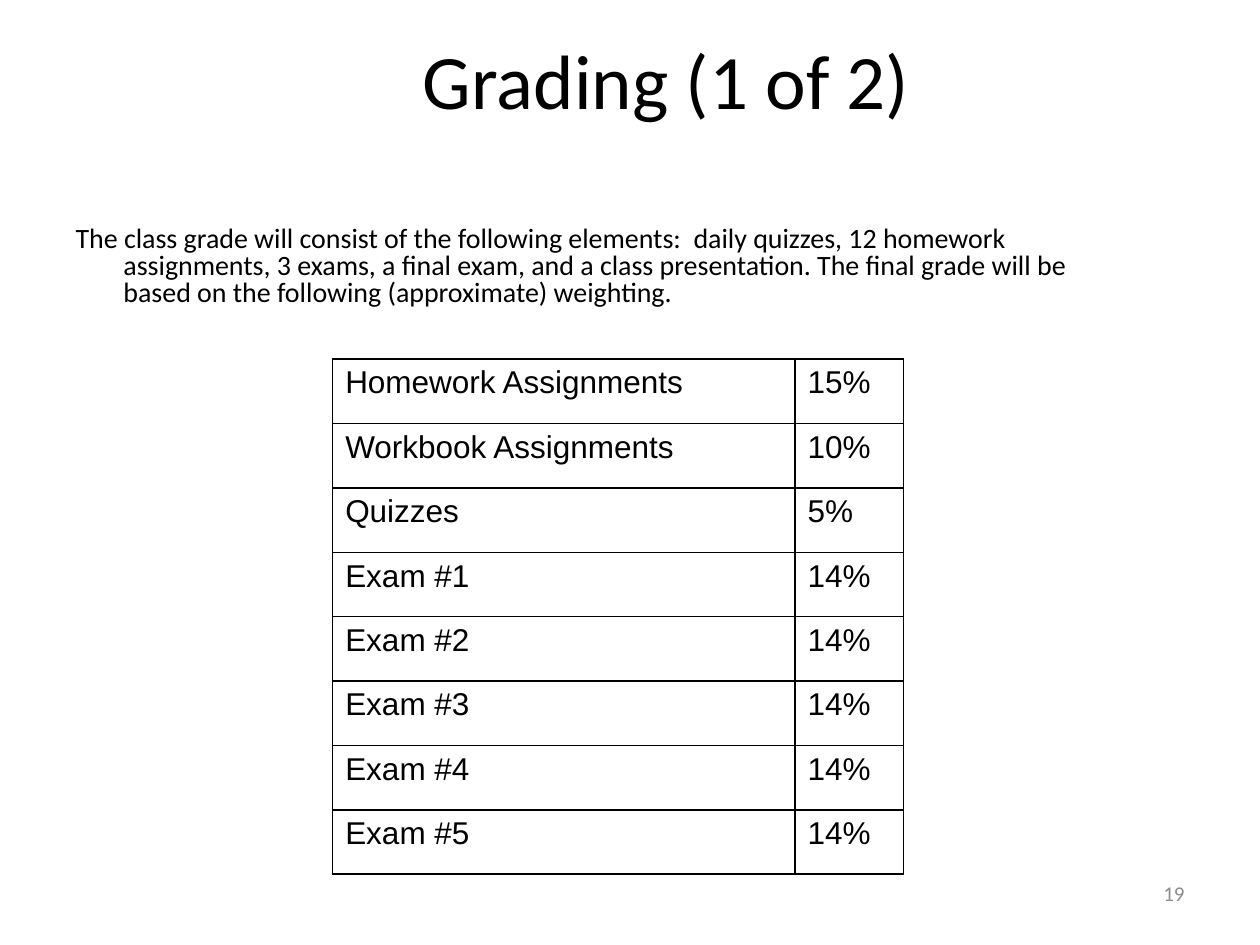
from dataclasses import dataclass
from lxml.etree import SubElement
from pptx import Presentation
from pptx.dml.color import RGBColor
from pptx.enum.text import MSO_ANCHOR, MSO_AUTO_SIZE, PP_ALIGN
from pptx.oxml.ns import qn
from pptx.util import Inches, Pt

TITLE = "Grading (1 of 2)"
INTRO = (
    "The class grade will consist of the following elements:  daily quizzes, "
    "12 homework assignments, 3 exams, a final exam, and a class presentation. "
    "The final grade will be based on the following (approximate) weighting."
)
WEIGHTS = [
    ("Homework Assignments", "15%"),
    ("Workbook Assignments", "10%"),
    ("Quizzes", "5%"),
] + [(f"Exam #{n}", "14%") for n in range(1, 6)]
NUMBER = "19"
COLS = (3.67, 0.86)
HIGH = 4.09
HANG = 0.38


@dataclass(frozen=True)
class Theme:
    """Colours, fonts and type sizes."""
    ink: str = "000000"
    pale: str = "8C8C8C"
    main: str = "Calibri"
    grid: str = "Arial"
    head: int = 44
    body: int = 16
    cell: int = 18
    foot: int = 12


LOOK = Theme()


def place(shape, *box):
    """Set left, top, width and height in inches."""
    shape.left, shape.top, shape.width, shape.height = map(Inches, box)


def write(frame, text, size, font=LOOK.main, color=LOOK.ink, align=PP_ALIGN.LEFT):
    """Fill a text frame with one styled paragraph."""
    frame.text = text
    para = frame.paragraphs[0]
    para.alignment = align
    face = para.runs[0].font
    face.size, face.name, face.bold = Pt(size), font, False
    face.color.rgb = RGBColor.from_string(color)
    return para


def hang(para):
    """Give a paragraph a hanging indent without a bullet."""
    props = para._p.get_or_add_pPr()
    props.set("marL", str(Inches(HANG)))
    props.set("indent", str(-Inches(HANG)))
    SubElement(props, qn("a:buNone"))


def border(cell):
    """Draw a thin line on each side of a cell."""
    props = cell._tc.get_or_add_tcPr()
    for side in "LRTB":
        line = SubElement(props, qn(f"a:ln{side}"), w=str(Pt(1)))
        fill = SubElement(line, qn("a:solidFill"))
        SubElement(fill, qn("a:srgbClr"), val=LOOK.ink)


def fill_table(slide):
    """Add the table of grade weights."""
    box = map(Inches, (2.64, 2.85, sum(COLS), HIGH))
    table = slide.shapes.add_table(len(WEIGHTS), len(COLS), *box).table
    table.first_row = table.horz_banding = False
    for col, width in zip(table.columns, COLS):
        col.width = Inches(width)
    for row, texts in zip(table.rows, WEIGHTS):
        row.height = Inches(HIGH / len(WEIGHTS))
        for cell, text in zip(row.cells, texts):
            hang(write(cell.text_frame, text, LOOK.cell, LOOK.grid))
            border(cell)
            cell.fill.background()


def main():
    """Build and save the grading slide."""
    deck = Presentation()
    deck.slide_width, deck.slide_height = Inches(10), Inches(7.5)
    slide = deck.slides.add_slide(deck.slide_layouts[1])
    title, body = slide.placeholders

    place(title, 1.75, 0, 7.08, 1.25)
    title.text_frame.vertical_anchor = MSO_ANCHOR.MIDDLE
    write(title.text_frame, TITLE, LOOK.head, align=PP_ALIGN.CENTER)

    place(body, 0.5, 1.75, 8.24, 4.95)
    body.text_frame.auto_size = MSO_AUTO_SIZE.NONE
    para = write(body.text_frame, INTRO, LOOK.body)
    para.line_spacing = 0.8
    para.space_before = Pt(0.2 * LOOK.body)
    hang(para)

    fill_table(slide)

    foot = slide.shapes.add_textbox(*map(Inches, (7.17, 6.83, 2.33, 0.52)))
    foot.text_frame.word_wrap = True
    foot.text_frame.vertical_anchor = MSO_ANCHOR.MIDDLE
    write(foot.text_frame, NUMBER, LOOK.foot, color=LOOK.pale, align=PP_ALIGN.RIGHT)

    deck.save("out.pptx")


if __name__ == "__main__":
    main()
